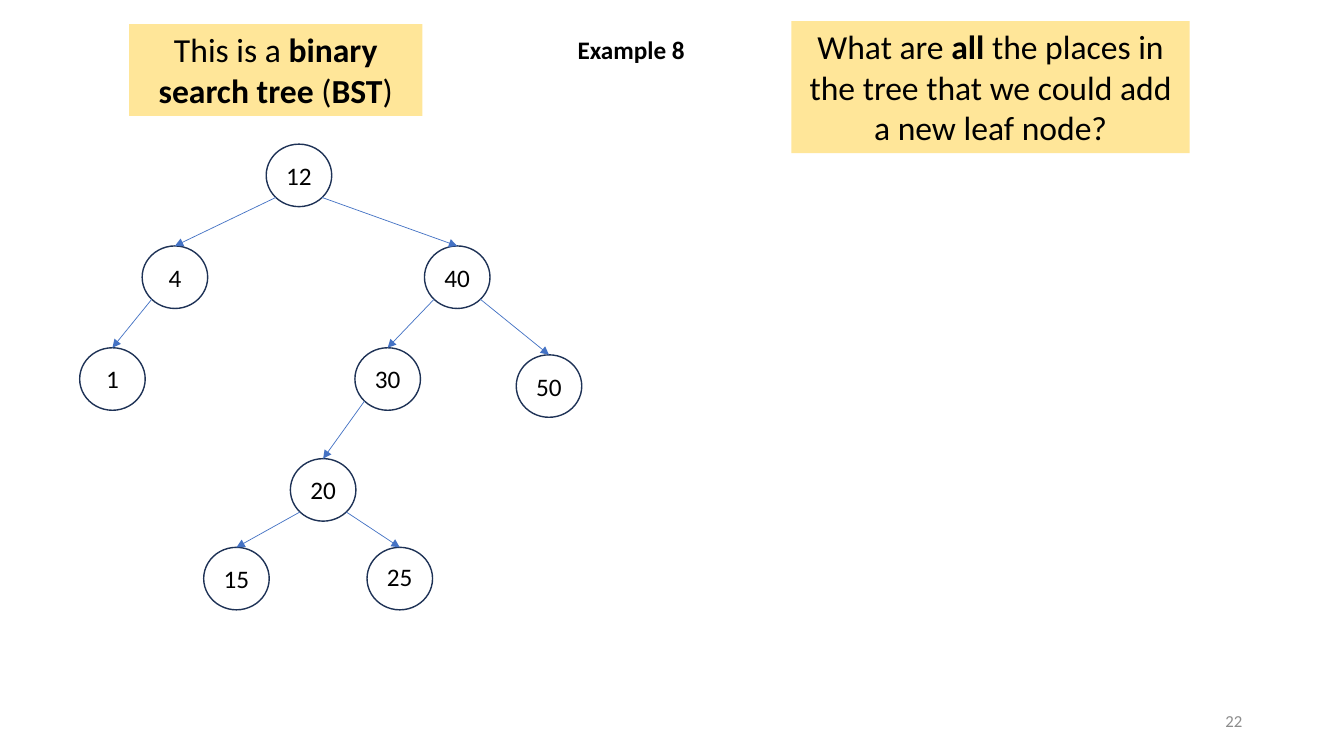
"""Build the slide asking where a leaf can be added to a binary search tree."""
from math import sqrt

from lxml.etree import SubElement
from pptx import Presentation
from pptx.dml.color import RGBColor as RGB
from pptx.enum.shapes import MSO_CONNECTOR as CONN, MSO_SHAPE as SHAPE
from pptx.enum.text import MSO_ANCHOR as ANCHOR, PP_ALIGN as ALIGN
from pptx.oxml.ns import qn
from pptx.util import Inches, Pt

BANNERS = [
    ((1.28, 0.24, 2.91, 0.91),
     [("This is a ", False), ("binary search tree", True), (" (", False),
      ("BST", True), (")", False)]),
    ((7.85, 0.21, 3.95, 1.31),
     [("What are ", False), ("all", True),
      (" the places in the tree that we could add a new leaf node?", False)]),
]
TITLE = ((5.63, 0.29, 1.27, 0.4), [("Example 8", True)])
PAGE = ((9.42, 6.95, 3, 0.4), [("22", False)])
NODES = {
    12: (2.64, 1.43), 4: (1.41, 2.44), 40: (4.21, 2.44),
    30: (3.52, 3.45), 1: (0.79, 3.45), 50: (5.12, 3.52),
    20: (2.88, 4.55), 15: (2.02, 5.43), 25: (3.64, 5.43),
}
LABEL_DROPS = {25: 0.09}
EDGES = [(12, 4), (12, 40), (4, 1), (40, 30), (40, 50),
         (30, 20), (20, 15), (20, 25)]

NODE_W, NODE_H = 0.65, 0.62
LABEL_W, LABEL_H, LABEL_DROP = 1.01, 0.4, 0.11
THEME = {
    "font": "Calibri", "text": "000000", "muted": "8C8C8C",
    "banner": "FFE699", "node": "1E3256", "edge": "4472C4",
    "banner_size": 24, "body_size": 18, "page_size": 12,
}


def write(sp, runs, size="body_size", color="text", align=ALIGN.CENTER,
          anchor=ANCHOR.TOP, wrap=True):
    tf = sp.text_frame
    tf.word_wrap, tf.vertical_anchor = wrap, anchor
    p = tf.paragraphs[0]
    p.alignment = align
    for text, bold in runs:
        r = p.add_run()
        r.text = text
        r.font.name, r.font.bold = THEME["font"], bold
        r.font.size = Pt(THEME[size])
        r.font.color.rgb = RGB.from_string(THEME[color])


def add_textbox(s, box, runs, **fmt):
    write(s.shapes.add_textbox(*map(Inches, box)), runs, **fmt)


def add_banner(s, box, runs):
    sp = s.shapes.add_shape(SHAPE.RECTANGLE, *map(Inches, box))
    sp.shadow.inherit = False
    sp.fill.solid()
    sp.fill.fore_color.rgb = RGB.from_string(THEME["banner"])
    sp.line.fill.background()
    write(sp, runs, size="banner_size")


def add_node(s, key):
    x, y = NODES[key]
    label = (x + (NODE_W - LABEL_W) / 2, y + LABEL_DROPS.get(key, LABEL_DROP),
             LABEL_W, LABEL_H)
    add_textbox(s, label, [(str(key), False)])
    sp = s.shapes.add_shape(SHAPE.OVAL, *map(Inches, (x, y, NODE_W, NODE_H)))
    sp.shadow.inherit = False
    sp.fill.background()
    sp.line.color.rgb = RGB.from_string(THEME["node"])
    sp.line.width = Pt(1)


def add_edge(s, parent, child):
    (px, py), (cx, cy) = NODES[parent], NODES[child]
    side = 1 if cx > px else -1
    start = (px + NODE_W / 2 * (1 + side / sqrt(2)),
             py + NODE_H / 2 * (1 + 1 / sqrt(2)))
    end = (cx + NODE_W / 2, cy)
    line = s.shapes.add_connector(CONN.STRAIGHT, *map(Inches, start + end))
    line.line.color.rgb = RGB.from_string(THEME["edge"])
    line.line.width = Pt(0.5)
    SubElement(line.line._get_or_add_ln(), qn("a:tailEnd"), type="triangle")
    SubElement(line._element.spPr, qn("a:effectLst"))


def main():
    prs = Presentation()
    prs.slide_width, prs.slide_height = Inches(13.33), Inches(7.5)
    s = prs.slides.add_slide(prs.slide_layouts[6])
    for box, runs in BANNERS:
        add_banner(s, box, runs)
    add_textbox(s, *TITLE, align=ALIGN.LEFT, wrap=False)
    add_textbox(s, *PAGE, size="page_size", color="muted",
                align=ALIGN.RIGHT, anchor=ANCHOR.MIDDLE)
    for key in NODES:
        add_node(s, key)
    for parent, child in EDGES:
        add_edge(s, parent, child)
    prs.save("out.pptx")


if __name__ == "__main__":
    main()
